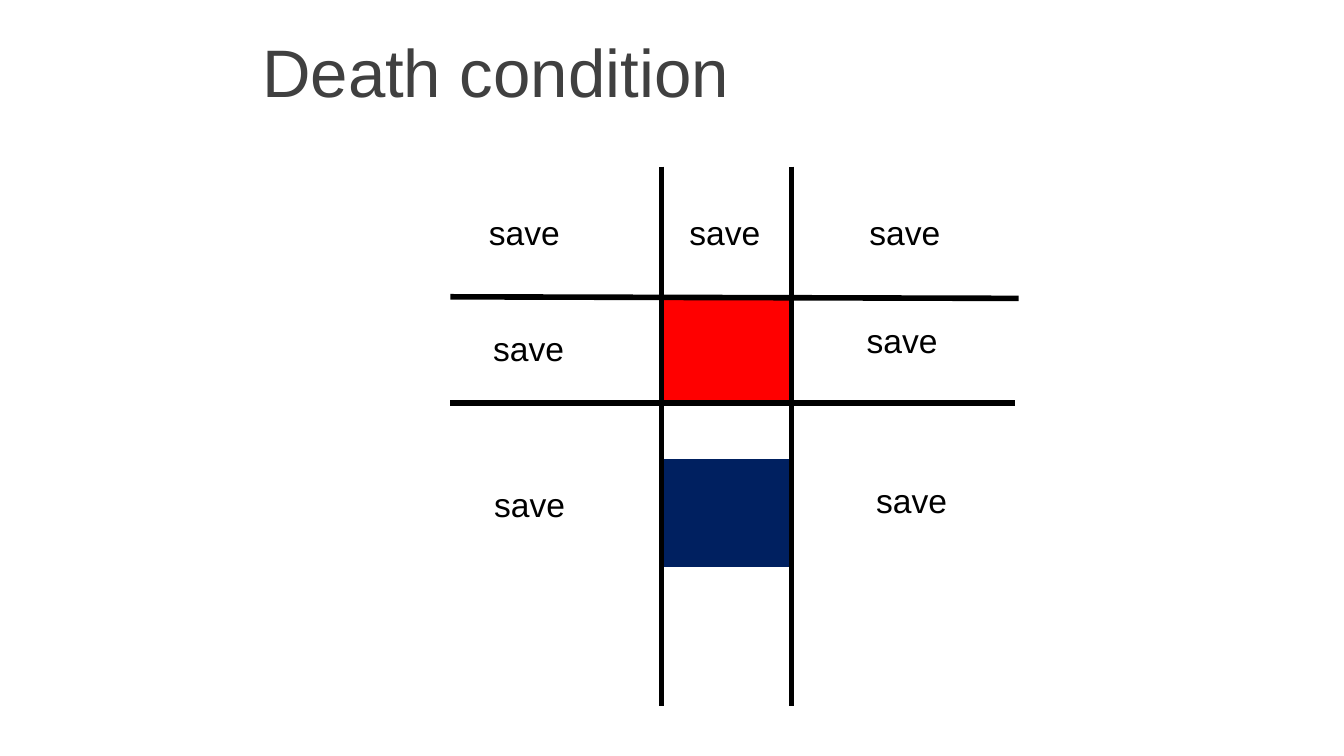
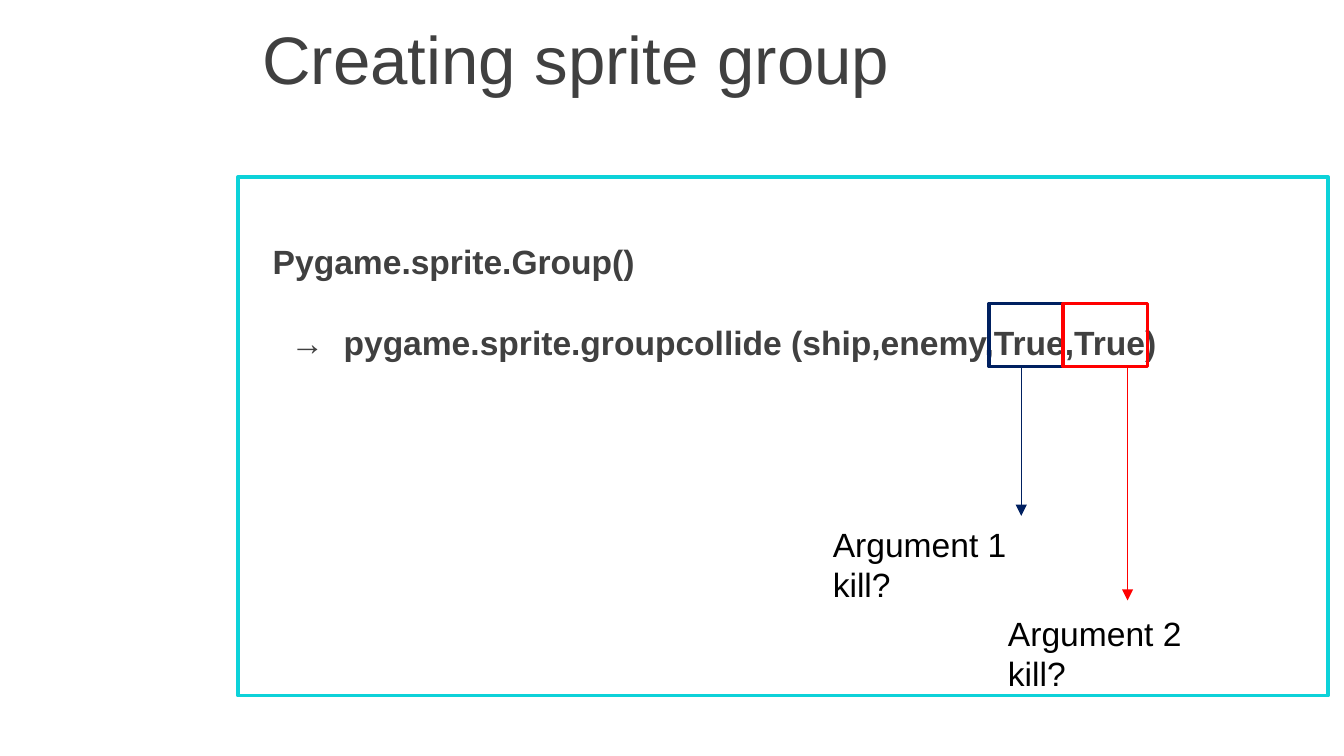
from lxml import etree
from pptx import Presentation
from pptx.dml.color import RGBColor
from pptx.enum.shapes import MSO_CONNECTOR as Link, MSO_SHAPE as Kind
from pptx.enum.text import MSO_ANCHOR as Anchor, MSO_AUTO_SIZE as Fit, PP_ALIGN as Align
from pptx.oxml.ns import qn
from pptx.util import Cm, Pt

FONT = "Arial"
HUES = {"grey": "404040", "ink": "000000", "navy": "002060",
        "red": "FF0000", "teal": "0DD2D9"}

# Places are in centimetres.
TITLES = [("Death condition", 0.53), ("Creating sprite group", 0.28)]

COLS, TOP, BASE = (12.5, 14.96), 3.15, 13.34
ROWS = [((19.25, 5.64), (8.51, 5.61)), ((19.18, 7.62), (8.51, 7.62))]
BLOCKS = [("navy", 8.71), ("red", 5.64)]
SAVES = [(8.99, 3.89), (12.78, 3.89), (16.18, 3.89),
         (9.07, 6.07), (16.13, 5.92),
         (9.09, 9.02), (16.31, 8.94)]

FRAME = (4.5, 3.35, 20.6, 9.8)
CODE = ["Pygame.sprite.Group()",
        "→\tpygame.sprite.groupcollide (ship,enemy,True,True)"]
BOX_TOP, BOX_TALL = 5.74, 1.19
# hue, box left, box width, arrow x, arrow end, note, note place
ARGS = [("navy", 18.69, 1.4, 19.3, 9.75, "Argument 1 kill?", (15.49, 9.78)),
        ("red", 20.09, 1.6, 21.31, 11.35, "Argument 2 kill?", (18.8, 11.46))]


def rgb(hue):
    return RGBColor.from_string(HUES[hue])


def place(shape, x, y, wide, tall):
    shape.left, shape.top = Cm(x), Cm(y)
    shape.width, shape.height = Cm(wide), Cm(tall)


def write(para, text, size=18, hue="ink", bold=False):
    run = para.add_run()
    run.text = text
    font = run.font
    font.name, font.size, font.bold = FONT, Pt(size), bold
    font.color.rgb = rgb(hue)


def start(deck, layout, text, y):
    """Add a slide with its title."""
    slide = deck.slides.add_slide(deck.slide_layouts[layout])
    title = slide.shapes.title
    place(title, 4.7, y, 20.7, 1.6)
    frame = title.text_frame
    frame.vertical_anchor, frame.auto_size = Anchor.MIDDLE, Fit.NONE
    para = frame.paragraphs[0]
    para.alignment = Align.LEFT
    write(para, text, 36, "grey")
    return slide


def box(slide, hue, spot, solid=False):
    shape = slide.shapes.add_shape(Kind.RECTANGLE, *map(Cm, spot))
    shape.shadow.inherit = False
    if solid:
        shape.fill.solid()
        shape.fill.fore_color.rgb = rgb(hue)
    else:
        shape.fill.background()
    shape.line.color.rgb, shape.line.width = rgb(hue), Pt(2)


def rule(slide, hue, head, end, width, arrow=False):
    line = slide.shapes.add_connector(Link.STRAIGHT, *map(Cm, head + end))
    line.line.color.rgb, line.line.width = rgb(hue), Pt(width)
    props = line.element.spPr
    if arrow:
        tip = etree.SubElement(props.find(qn("a:ln")), qn("a:tailEnd"))
        tip.set("type", "triangle")
    etree.SubElement(props, qn("a:effectLst"))


def note(slide, text, x, y, wide, tall):
    frame = slide.shapes.add_textbox(*map(Cm, (x, y, wide, tall))).text_frame
    frame.word_wrap = True
    write(frame.paragraphs[0], text)


def list_code(body):
    place(body, 4.9, 4.42, 17.55, 3.33)
    frame = body.text_frame
    frame.vertical_anchor, frame.auto_size = Anchor.TOP, Fit.NONE
    for i, text in enumerate(CODE):
        para = frame.add_paragraph() if i else frame.paragraphs[0]
        para.space_before = Pt(22 if i else 0)
        props = para._p.get_or_add_pPr()
        props.set("marL", str(Cm(1.34 if i else 0)))
        props.set("indent", str(Cm(-1 if i else 0)))
        etree.SubElement(props, qn("a:buNone"))
        write(para, text, hue="grey", bold=True)


def draw_board(deck):
    slide = start(deck, 5, *TITLES[0])
    for hue, y in BLOCKS:
        box(slide, hue, (COLS[0], y, COLS[1] - COLS[0], 1.98), solid=True)
    for x in COLS:
        rule(slide, "ink", (x, TOP), (x, BASE), 3)
    for head, end in ROWS:
        rule(slide, "ink", head, end, 3)
    for x, y in SAVES:
        note(slide, "save", x, y, 3.12, 0.91)


def draw_group(deck):
    slide = start(deck, 1, *TITLES[1])
    box(slide, "teal", FRAME)
    list_code(slide.placeholders[1])
    for hue, left, wide, x, end, text, spot in ARGS:
        box(slide, hue, (left, BOX_TOP, wide, BOX_TALL))
        rule(slide, hue, (x, BOX_TOP + BOX_TALL), (x, end), 0.75, arrow=True)
        note(slide, text, *spot, 5, 1.02)


def main():
    deck = Presentation()
    deck.slide_width, deck.slide_height = Cm(25.4), Cm(14.29)
    draw_board(deck)
    draw_group(deck)
    deck.save("out.pptx")


if __name__ == "__main__":
    main()
